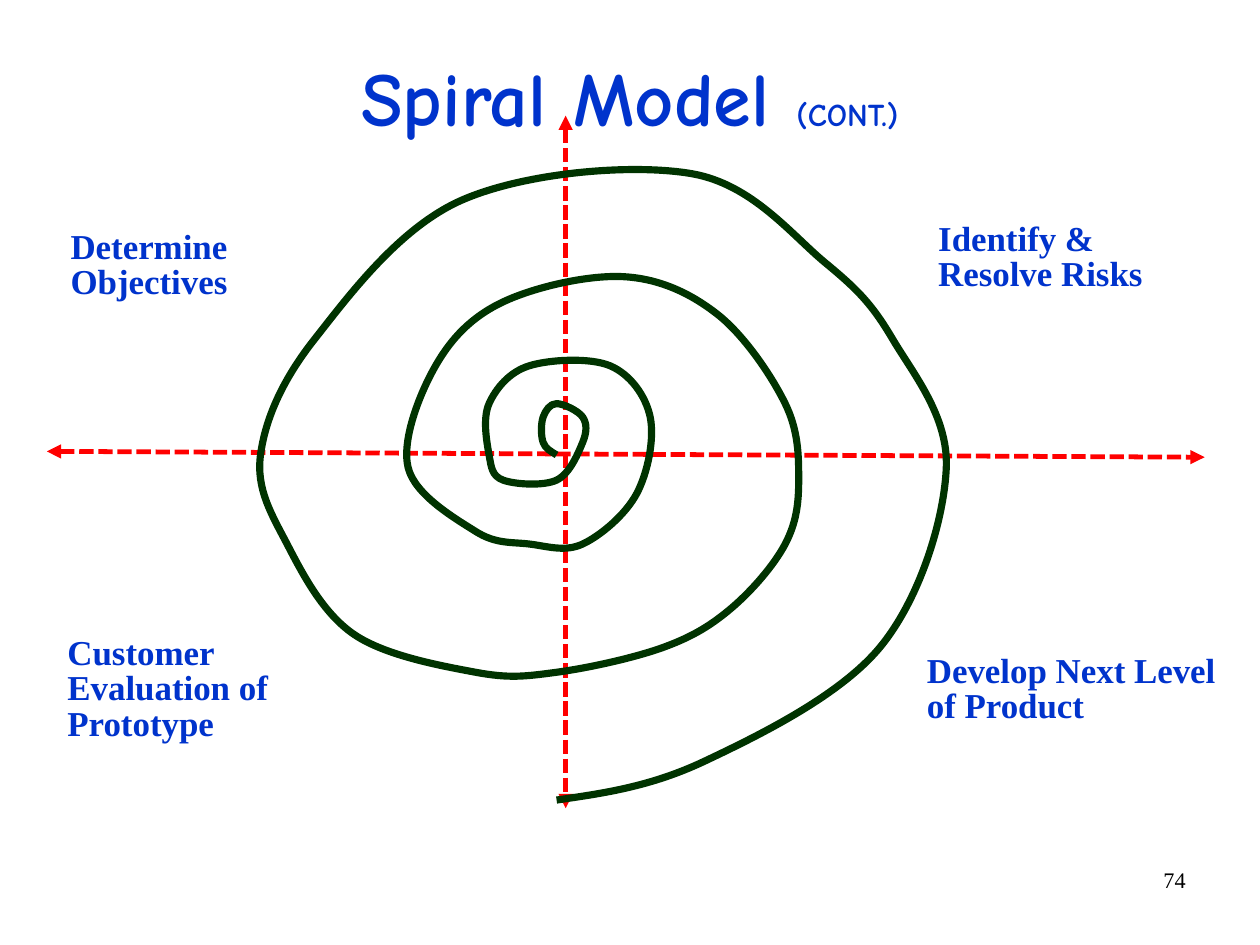
from dataclasses import dataclass

from lxml.etree import SubElement
from pptx import Presentation
from pptx.dml.color import RGBColor
from pptx.enum.dml import MSO_LINE
from pptx.enum.shapes import MSO_CONNECTOR
from pptx.enum.text import MSO_ANCHOR, PP_ALIGN
from pptx.oxml.ns import qn
from pptx.shapes.autoshape import Shape
from pptx.shapes.shapetree import SlideShapes
from pptx.util import Cm, Pt

Point = tuple[float, float]


@dataclass(frozen=True)
class Theme:
    blue: RGBColor = RGBColor(0x00, 0x33, 0xCC)
    red: RGBColor = RGBColor(0xFF, 0x00, 0x00)
    green: RGBColor = RGBColor(0x00, 0x33, 0x00)
    black: RGBColor = RGBColor(0x00, 0x00, 0x00)
    display: str = "Comic Neue"
    body: str = "Times New Roman"
    title: float = 48
    suffix: float = 20
    label: float = 22
    number: float = 14
    axis: float = 3
    curve: float = 4.5


@dataclass(frozen=True)
class Box:
    left: float
    top: float
    width: float
    height: float


@dataclass(frozen=True)
class Label:
    text: str
    box: Box


@dataclass(frozen=True)
class Axis:
    start: Point
    end: Point


THEME = Theme()

LABELS = [
    Label("Determine Objectives", Box(1.52, 4.98, 5.46, 2.13)),
    Label("Identify & Resolve Risks", Box(20.8, 4.8, 5.59, 2.13)),
    Label("Develop Next Level of Product", Box(20.55, 14.4, 6.53, 2.16)),
    Label("Customer Evaluation of Prototype", Box(1.45, 14, 6.32, 3.07)),
]

AXES = [
    Axis((12.57, 2.57), (12.57, 17.96)),
    Axis((1.04, 10.03), (26.77, 10.16)),
]

# Knots of the spiral from the centre outwards; LEAD and TRAIL only steer its ends
LEAD, TRAIL = (12.83, 10.29), (9.4, 17.83)
KNOTS = [
    (12.37, 10.11), (12.07, 9.83), (12.07, 9.27), (12.37, 8.97), (12.95, 9.27),
    (12.95, 9.83), (12.37, 10.67), (11.18, 10.67), (10.87, 10.11), (10.87, 8.97),
    (11.76, 8.13), (13.56, 8.13), (14.45, 9.27), (14.15, 10.97), (12.95, 12.09),
    (11.76, 12.09), (10.57, 11.81), (9.07, 10.39), (9.68, 8.13), (11.18, 6.71),
    (13.87, 6.15), (15.95, 6.99), (17.45, 8.97), (17.75, 10.67), (17.45, 12.09),
    (16.26, 13.51), (14.76, 14.38), (12.37, 14.94), (10.57, 14.94), (7.87, 14.1),
    (6.38, 12.09), (5.79, 10.11), (6.99, 7.54), (10.26, 4.45), (15.37, 3.86),
    (18.34, 5.84), (19.84, 7.54), (21.03, 10.39), (19.56, 14.38), (15.65, 16.92),
    (12.37, 17.78),
]


def add_text(shapes: SlideShapes, text: str, box: Box, size: float,
             color: RGBColor, font: str, bold: bool = False) -> Shape:
    shape = shapes.add_textbox(Cm(box.left), Cm(box.top), Cm(box.width), Cm(box.height))
    frame = shape.text_frame
    frame.word_wrap = True
    frame.text = text
    style = frame.paragraphs[0].font
    style.size, style.name, style.bold = Pt(size), font, bold
    style.color.rgb = color
    return shape


def trim(shape: Shape, spacing: float) -> None:
    """Tighten the insets and the line spacing."""
    frame = shape.text_frame
    frame.margin_left = frame.margin_right = Cm(0.05)
    frame.margin_top = frame.margin_bottom = Cm(0.15)
    frame.paragraphs[0].line_spacing = spacing


def add_title(shapes: SlideShapes) -> None:
    shape = add_text(shapes, "Spiral Model ", Box(2.06, 0.51, 23.88, 3.48),
                     THEME.title, THEME.blue, THEME.display, True)
    trim(shape, 0.94)
    shape.text_frame.vertical_anchor = MSO_ANCHOR.MIDDLE
    line = shape.text_frame.paragraphs[0]
    line.alignment = PP_ALIGN.CENTER
    suffix = line.add_run()
    suffix.text = "(CONT.)"
    for run, size in zip(line.runs, (THEME.title, THEME.suffix)):
        run.font.size, run.font.name, run.font.bold = Pt(size), THEME.display, True
        run.font.color.rgb = THEME.blue


def add_axis(shapes: SlideShapes, axis: Axis) -> None:
    ends = [Cm(value) for value in axis.start + axis.end]
    link = shapes.add_connector(MSO_CONNECTOR.STRAIGHT, *ends)
    link.line.color.rgb = THEME.red
    link.line.width = Pt(THEME.axis)
    link.line.dash_style = MSO_LINE.SQUARE_DOT
    props = link._element.spPr
    for tag in ("a:headEnd", "a:tailEnd"):
        SubElement(props.find(qn("a:ln")), qn(tag), type="triangle")
    SubElement(props, qn("a:effectLst"))


def add_spiral(shapes: SlideShapes) -> None:
    dots = [(Cm(x), Cm(y)) for x, y in [LEAD, *KNOTS, TRAIL]]
    maker = shapes.build_freeform(*dots[1])
    maker.add_line_segments(dots[2:-1], close=False)
    spiral = maker.convert_to_shape()
    spiral.shadow.inherit = False
    spiral.fill.background()
    spiral.line.color.rgb = THEME.green
    spiral.line.width = Pt(THEME.curve)

    # Turn each straight step into a Catmull-Rom curve
    steps = list(spiral._element.iter(qn("a:lnTo")))
    for step, a, b, c, d in zip(steps, dots, dots[1:], dots[2:], dots[3:]):
        first = [q + (r - p) / 6 for p, q, r in zip(a, b, c)]
        second = [q - (r - p) / 6 for p, q, r in zip(b, c, d)]
        step.tag = qn("a:cubicBezTo")
        for place, (x, y) in enumerate((first, second)):
            grip = SubElement(step, qn("a:pt"), x=str(round(x - spiral.left)),
                              y=str(round(y - spiral.top)))
            step.insert(place, grip)


def main() -> None:
    deck = Presentation()
    deck.slide_width, deck.slide_height = Cm(28), Cm(21)
    shapes = deck.slides.add_slide(deck.slide_layouts[6]).shapes

    # Page number and title
    number = add_text(shapes, "74", Box(20.07, 19.13, 6.53, 1.45),
                      THEME.number, THEME.black, THEME.body)
    number.text_frame.paragraphs[0].alignment = PP_ALIGN.RIGHT
    add_title(shapes)

    # Axes and spiral
    for axis in AXES:
        add_axis(shapes, axis)
    add_spiral(shapes)

    # Quadrant labels
    for label in LABELS:
        shape = add_text(shapes, label.text, label.box, THEME.label,
                         THEME.blue, THEME.body, True)
        trim(shape, 0.85)

    deck.save("out.pptx")


if __name__ == "__main__":
    main()
